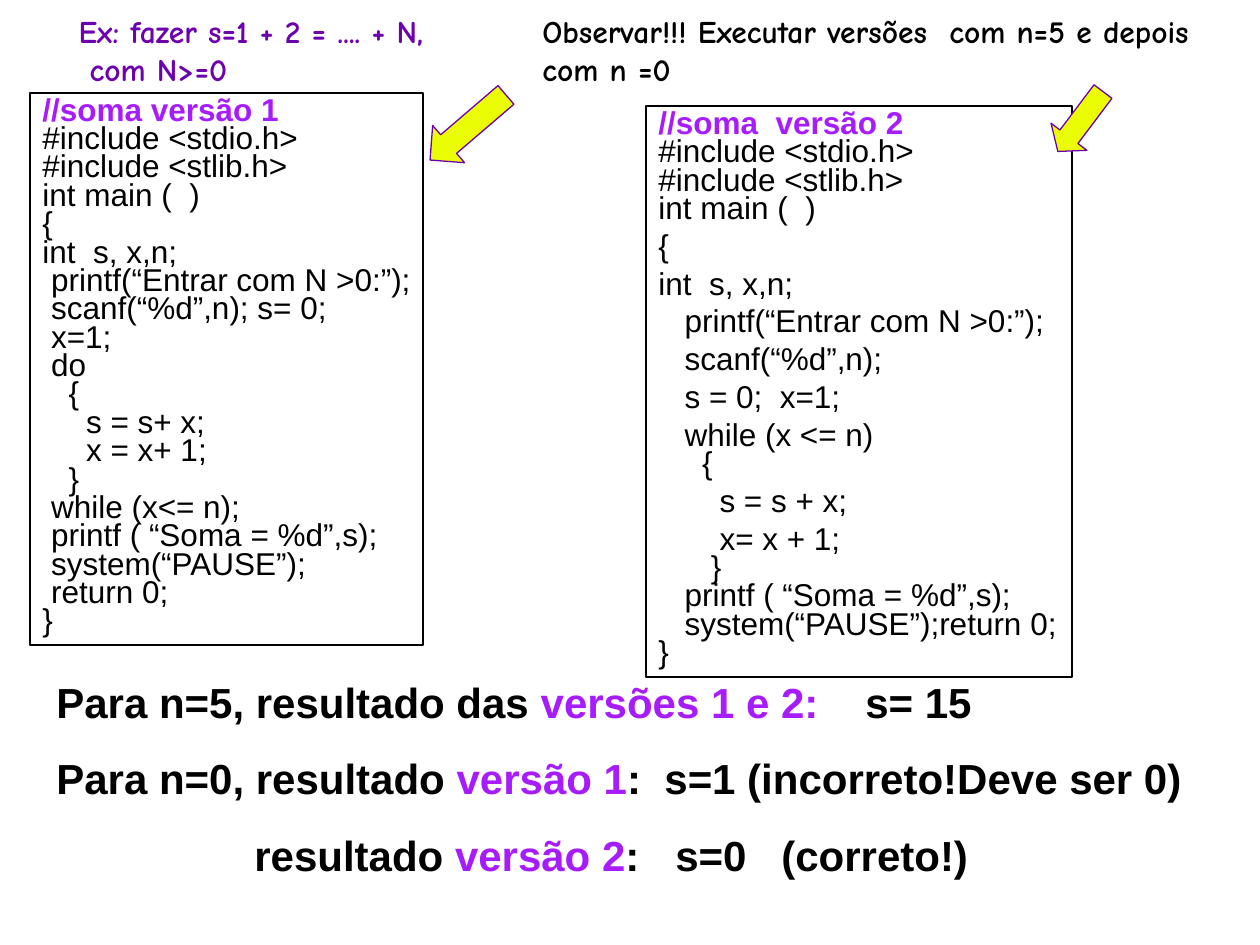
"""Build a slide comparing two versions of a C summing program."""
from lxml import etree
from pptx import Presentation
from pptx import util as u
from pptx.dml.color import RGBColor
from pptx.enum import shapes, text
from pptx.oxml.ns import qn

BLACK = RGBColor(0x00, 0x00, 0x00)
WHITE = RGBColor(0xFF, 0xFF, 0xFF)
PURPLE = RGBColor(0x6C, 0x02, 0xAE)
VIOLET = RGBColor(0xA7, 0x1C, 0xFC)
YELLOW = RGBColor(0xEB, 0xFD, 0x03)

VERSION_1 = """//soma versão 1
#include <stdio.h>
#include <stlib.h>
int main (  )
{
int  s, x,n;
 printf(“Entrar com N >0:”);
 scanf(“%d”,n); s= 0;
 x=1;
 do
   {
     s = s+ x;
     x = x+ 1;
   }
 while (x<= n);
 printf ( “Soma = %d”,s);
 system(“PAUSE”);
 return 0;
}"""
VERSION_2 = """//soma  versão 2
#include <stdio.h>
#include <stlib.h>
int main (  )
{
int  s, x,n;
   printf(“Entrar com N >0:”);
   scanf(“%d”,n);
   s = 0;  x=1;
   while (x <= n)
     {
       s = s + x;
       x= x + 1;
      }
   printf ( “Soma = %d”,s);
   system(“PAUSE”);return 0;
}"""
LOOSE_LINES = {4, 5, 6, 7, 8, 9, 11, 12}
RESULTS = [
    ([("Para n=5, resultado das ", BLACK), ("versões 1 e 2:", VIOLET), ("\ts= 15", BLACK)],
     [809]),
    ([("Para n=0, resultado ", BLACK), ("versão 1", VIOLET),
      (":  s=1 (incorreto!Deve ser 0)", BLACK)], []),
    ([("\tresultado ", BLACK), ("versão 2", VIOLET), (":\ts=0\t(correto!)", BLACK)],
     [198, 619, 725]),
]


def px(length):
    """Turn pixels into EMU."""
    return u.Emu(round(length * 914400 / 126))


def write(para, spans, font="Arial", size=18, bold=True, spacing=1.0, before=0, tabs=()):
    """Write coloured spans into a paragraph with the given format."""
    if tabs:
        stops = etree.SubElement(para._p.get_or_add_pPr(), qn("a:tabLst"))
        for stop in tabs:
            etree.SubElement(stops, qn("a:tab"), pos=str(px(stop)), algn="l")
    para.alignment = text.PP_ALIGN.LEFT
    para.line_spacing = u.Pt(round(size * 1.2 * spacing, 2))
    para.space_before = u.Pt(before)
    for content, color in spans:
        span = para.add_run()
        span.text = content
        span.font.name = font
        span.font.size = u.Pt(size)
        span.font.bold = bold
        span.font.color.rgb = color


class Board:
    """Hold the style and the current page."""

    heading_font = "Comic Neue"

    def __init__(self, deck):
        """Add a title-only page to the deck."""
        self.page = deck.slides.add_slide(deck.slide_layouts[5])

    def fill(self, box, wrap, lines):
        """Fill a box with one paragraph for each (spans, format) line."""
        frame = box.text_frame
        frame.word_wrap = wrap
        frame.auto_size = text.MSO_AUTO_SIZE.SHAPE_TO_FIT_TEXT
        frame.vertical_anchor = text.MSO_ANCHOR.TOP
        for index, (spans, style) in enumerate(lines):
            para = frame.add_paragraph() if index else frame.paragraphs[0]
            write(para, spans, **style)

    def title(self, area, lines):
        """Place the title."""
        box = self.page.shapes.title
        box.left, box.top, box.width, box.height = map(px, area)
        self.fill(box, False, lines)

    def textbox(self, area, lines):
        """Add a wrapping text box."""
        self.fill(self.page.shapes.add_textbox(*map(px, area)), True, lines)

    def shape(self, kind, area, color, line):
        """Add an outlined preset shape."""
        box = self.page.shapes.add_shape(kind, *map(px, area))
        box.shadow.inherit = False
        box.fill.solid()
        box.fill.fore_color.rgb = color
        box.line.color.rgb = line
        box.line.width = u.Pt(0.75)
        return box

    def code(self, area, source, loose=()):
        """Add a framed listing whose first line is a highlighted comment."""
        box = self.shape(shapes.MSO_SHAPE.RECTANGLE, area, WHITE, BLACK)
        box.text_frame.margin_right = 0
        self.fill(box, True, [
            ([(line, BLACK if index else VIOLET)],
             {"bold": index == 0, "spacing": 1.0 if index in loose else 0.75})
            for index, line in enumerate(source.split("\n"))])

    def arrow(self, area, rotation, head):
        """Add a rotated yellow arrow."""
        box = self.shape(shapes.MSO_SHAPE.LEFT_ARROW, area, YELLOW, PURPLE)
        box.rotation = rotation
        box.adjustments[1] = head


def main():
    """Build and save the deck."""
    deck = Presentation()
    deck.slide_width, deck.slide_height = px(1260), px(945)
    board = Board(deck)
    heading = {"font": board.heading_font}
    board.title((66, 6, 370, 88), [
        ([("Ex: fazer s=1 + 2 = .... + N,", PURPLE)], heading),
        ([("\tcom N>=0", PURPLE)], {**heading, "tabs": [11]})])
    board.code((30, 93, 393, 552), VERSION_1)
    board.code((646, 106, 426, 571), VERSION_2, LOOSE_LINES)
    board.textbox((530, 6, 730, 88), [
        ([("Observar!!! Executar versões  com n=5 e depois com n =0", BLACK)], heading)])
    board.textbox((44, 670, 1160, 217), [
        (spans, {"size": 24, "before": 15 if index else 0, "tabs": tabs})
        for index, (spans, tabs) in enumerate(RESULTS)])
    board.arrow((418, 103, 100, 49), 319.4, 0.5)
    board.arrow((1043, 99, 75, 45), 307, 0.41)
    deck.save("out.pptx")


if __name__ == "__main__":
    main()
